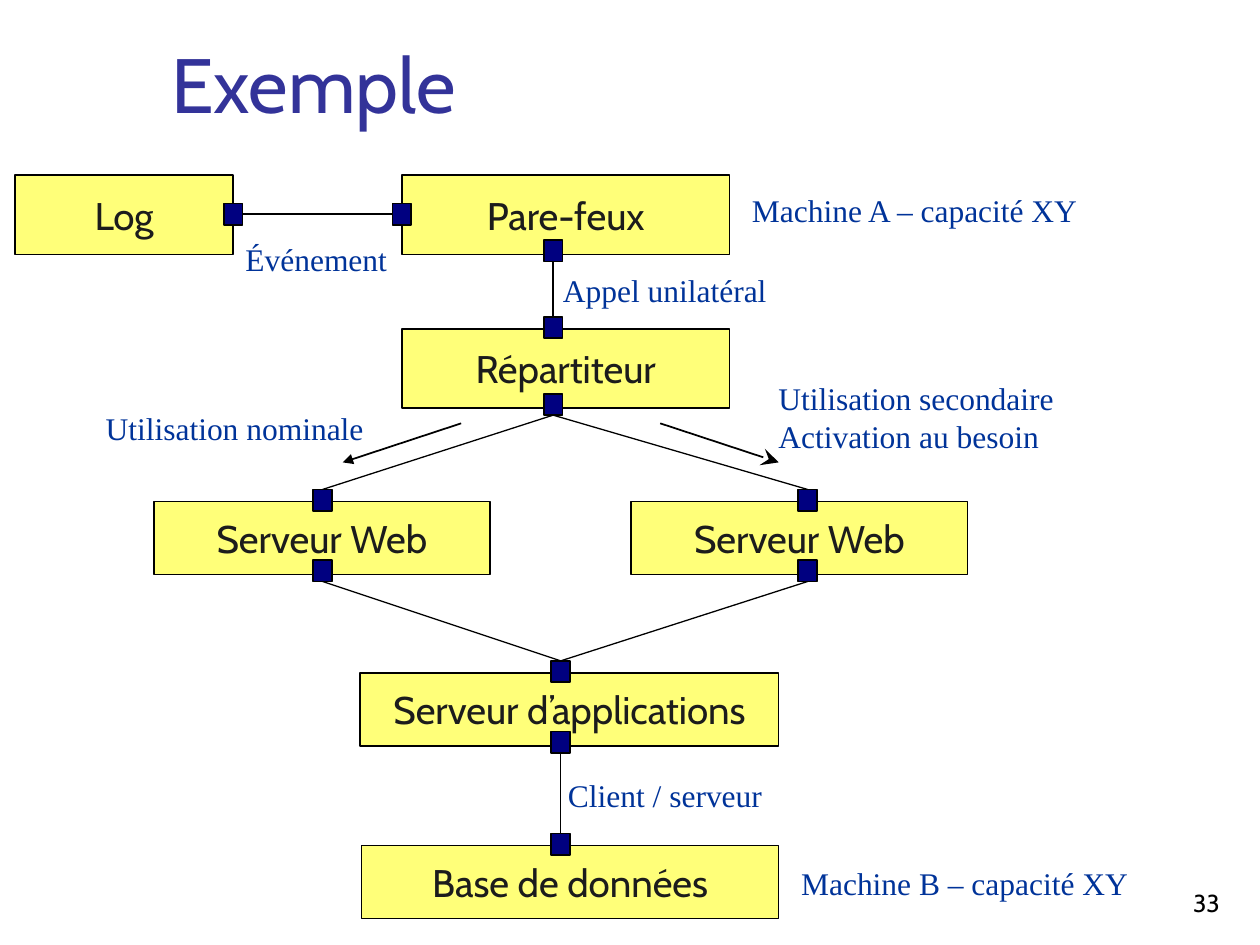
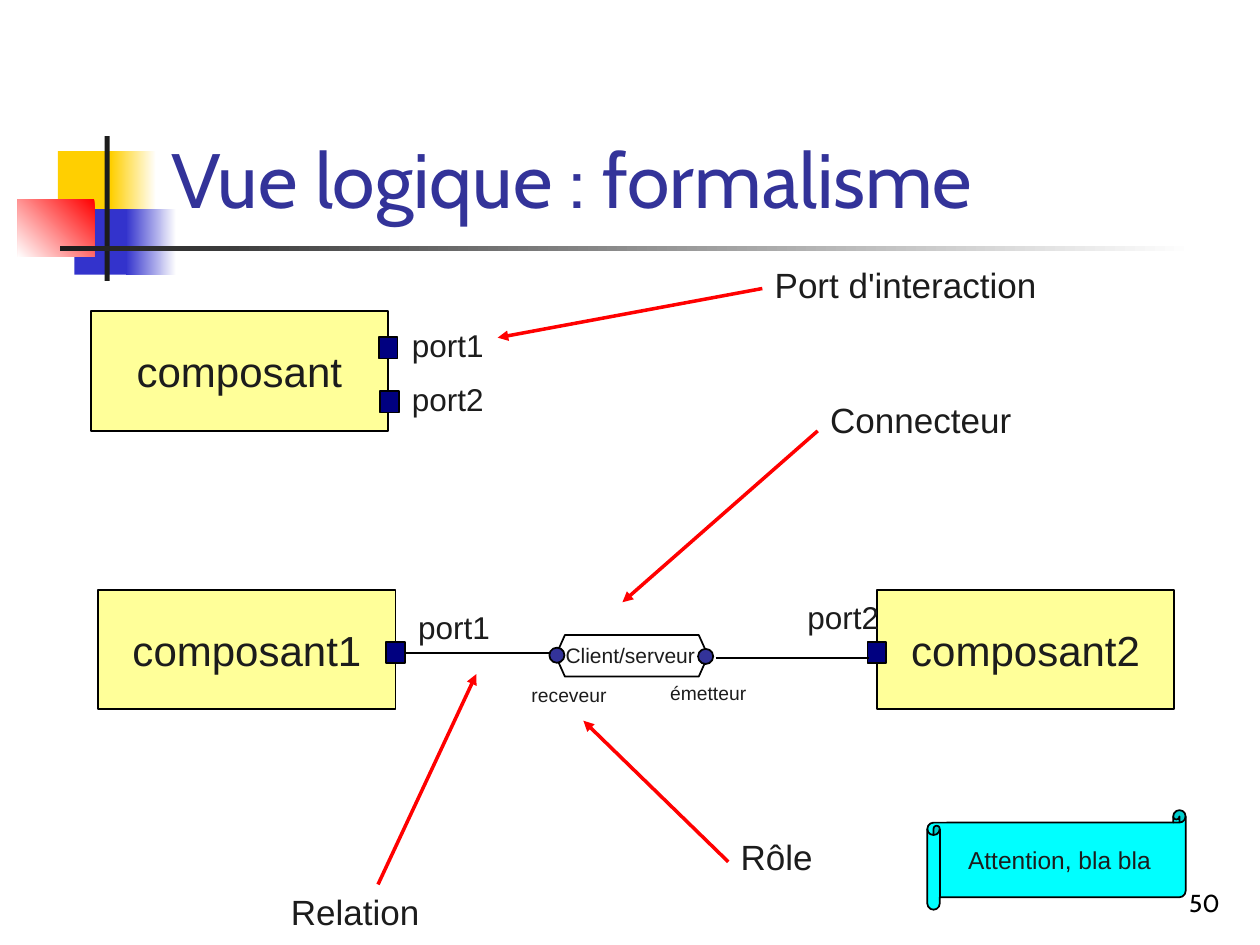
import lxml.etree
import pptx
import pptx.dml.color
import pptx.enum.shapes
import pptx.enum.text
import pptx.oxml.ns
import pptx.util

Inches = pptx.util.Inches
Pt = pptx.util.Pt
RGBColor = pptx.dml.color.RGBColor
MSO_SHAPE = pptx.enum.shapes.MSO_SHAPE
PP_ALIGN = pptx.enum.text.PP_ALIGN
MSO_ANCHOR = pptx.enum.text.MSO_ANCHOR
qn = pptx.oxml.ns.qn

# Colours
BLACK = RGBColor(0x00, 0x00, 0x00)
WHITE = RGBColor(0xFF, 0xFF, 0xFF)
INK = RGBColor(0x1C, 0x1C, 0x1C)
INDIGO = RGBColor(0x33, 0x33, 0x99)
LABEL_BLUE = RGBColor(0x00, 0x33, 0x99)
NAVY = RGBColor(0x00, 0x00, 0x80)
YELLOW = RGBColor(0xFF, 0xFF, 0x79)
PALE_YELLOW = RGBColor(0xFF, 0xFF, 0x99)
CYAN = RGBColor(0x00, 0xFF, 0xFF)
RED = RGBColor(0xFF, 0x00, 0x00)
GOLD = RGBColor(0xFF, 0xCF, 0x01)
BLUE = RGBColor(0x33, 0x33, 0xCC)

# Fonts and connection sites
TITLE_FONT, SERIF, SANS = "Cabin", "Times New Roman", "Arial"
TOP, LEFT, BOTTOM, RIGHT = range(4)
PORT_W, PORT_H = 0.15, 0.17
LABEL_SLACK = 0.06  # spare width that keeps each label line whole


# Shared building blocks
def add_run(p, text, size, font, color):
    r = p.add_run()
    r.text = text
    r.font.size = Pt(size)
    r.font.name = font
    r.font.color.rgb = color


def add_box(slide, kind, box, fill=None, outline=True):
    sp = slide.shapes.add_shape(kind, *map(Inches, box))
    sp.shadow.inherit = False
    if fill is None:
        sp.fill.background()
    else:
        sp.fill.solid()
        sp.fill.fore_color.rgb = fill
    if outline:
        sp.line.color.rgb = BLACK
        sp.line.width = Pt(1)
    else:
        sp.line.fill.background()
    return sp


def add_gradient(slide, box, start, end, angle=180):
    sp = add_box(slide, MSO_SHAPE.RECTANGLE, box, start, outline=False)
    sp.fill.gradient()
    sp.fill.gradient_angle = angle
    for stop, color in zip(sp.fill.gradient_stops, (start, end)):
        stop.color.rgb = color


def add_caption(sp, text, size, font):
    tf = sp.text_frame
    tf.word_wrap = False
    tf.vertical_anchor = MSO_ANCHOR.MIDDLE
    p = tf.paragraphs[0]
    p.alignment = PP_ALIGN.CENTER
    add_run(p, text, size, font, INK)


def add_label(slide, box, lines, size, font, color):
    x, y, w, h = box
    tf = slide.shapes.add_textbox(*map(Inches, (x, y, w + LABEL_SLACK, h))).text_frame
    tf.word_wrap = False
    for i, text in enumerate(lines.split("\n")):
        p = tf.add_paragraph() if i else tf.paragraphs[0]
        p.alignment = PP_ALIGN.LEFT
        add_run(p, text, size, font, color)
    tf.auto_size = pptx.enum.text.MSO_AUTO_SIZE.SHAPE_TO_FIT_TEXT


def add_framed_text(slide, box, text, size, color, align):
    tf = slide.shapes.add_textbox(*map(Inches, box)).text_frame
    tf.word_wrap = True
    tf.vertical_anchor = MSO_ANCHOR.BOTTOM
    p = tf.paragraphs[0]
    p.alignment = align
    add_run(p, text, size, TITLE_FONT, color)


def add_port(slide, cx, cy):
    box = (cx - PORT_W / 2, cy - PORT_H / 2, PORT_W, PORT_H)
    return add_box(slide, MSO_SHAPE.RECTANGLE, box, NAVY)


def add_line(slide, start, end, width, color=BLACK, arrow=None, arrow_size="med"):
    ends = map(Inches, (*start, *end))
    c = slide.shapes.add_connector(pptx.enum.shapes.MSO_CONNECTOR.STRAIGHT, *ends)
    c.line.color.rgb = color
    c.line.width = Pt(width)
    sp_pr = c._element.spPr
    if arrow:
        tail = lxml.etree.SubElement(sp_pr.find(qn("a:ln")), qn("a:tailEnd"))
        tail.set("type", arrow)
        tail.set("w", arrow_size)
        tail.set("len", arrow_size)
    lxml.etree.SubElement(sp_pr, qn("a:effectLst"))
    return c


def join(slide, sp1, site1, sp2, site2, width):
    c = add_line(slide, (0, 0), (1, 1), width)
    c.begin_connect(sp1, site1)
    c.end_connect(sp2, site2)


def new_slide(prs, title, title_height, number):
    slide = prs.slides.add_slide(prs.slide_layouts[6])
    add_framed_text(slide, (1.26, 0.23, 8.52, title_height), title, 44, INDIGO, PP_ALIGN.LEFT)
    add_framed_text(slide, (7.7, 6.83, 2.08, 0.5), number, 14, BLACK, PP_ALIGN.RIGHT)
    return slide


# Slide "Exemple"
def draw_tier(slide, box, text, port_dx, sides):
    """Draws a component and returns its ports by side."""
    x, y, w, h = box
    sp = add_box(slide, MSO_SHAPE.RECTANGLE, box, YELLOW)
    add_caption(sp, text, 22, TITLE_FONT)
    port_y = {TOP: y - 0.01, BOTTOM: y + h - 0.03}
    return {side: add_port(slide, x + port_dx, port_y[side]) for side in sides}


def draw_log_event(slide, left, top):
    box = (left, top, 1.73, 0.63)
    add_caption(add_box(slide, MSO_SHAPE.RECTANGLE, box, YELLOW), "Log", 22, TITLE_FONT)
    log_port, firewall_port = (add_port(slide, left + dx, top + 0.31) for dx in (1.73, 3.07))
    join(slide, firewall_port, LEFT, log_port, RIGHT, 1)


def draw_architecture(slide, left, top):
    tiers = {
        "firewall": ((3.07, 0, 2.6, 0.63), "Pare-feux", 1.2, (BOTTOM,)),
        "balancer": ((3.07, 1.22, 2.6, 0.63), "Répartiteur", 1.2, (TOP, BOTTOM)),
        "web1": ((1.1, 2.59, 2.67, 0.58), "Serveur Web", 1.34, (TOP, BOTTOM)),
        "web2": ((4.89, 2.59, 2.67, 0.58), "Serveur Web", 1.4, (TOP, BOTTOM)),
        "app": ((2.74, 3.95, 3.32, 0.58), "Serveur d’applications", 1.59, (TOP, BOTTOM)),
        "database": ((2.75, 5.32, 3.31, 0.58), "Base de données", 1.58, (TOP,)),
    }
    ports = {}
    for name, ((x, y, w, h), text, port_dx, sides) in tiers.items():
        ports[name] = draw_tier(slide, (left + x, top + y, w, h), text, port_dx, sides)
    for upper, lower in (("firewall", "balancer"), ("balancer", "web1"), ("balancer", "web2"),
                         ("web1", "app"), ("web2", "app"), ("app", "database")):
        join(slide, ports[upper][BOTTOM], BOTTOM, ports[lower][TOP], TOP, 0.75)

    # Direction of use
    for x1, x2, arrow, size in ((3.54, 2.6, "triangle", "med"), (5.12, 6.06, "stealth", "lg")):
        add_line(slide, (left + x1, top + 1.97), (left + x2, top + 2.28), 1,
                 arrow=arrow, arrow_size=size)

    # Annotations
    for x, y, w, h, text in (
        (5.75, 0.08, 2.81, 0.4, "Machine A – capacité XY"),
        (1.73, 0.47, 1.38, 0.4, "Événement"),
        (4.25, 0.71, 1.81, 0.4, "Appel unilatéral"),
        (0.62, 1.81, 2.25, 0.4, "Utilisation nominale"),
        (5.96, 1.57, 2.38, 0.7, "Utilisation secondaire\nActivation au besoin"),
        (4.29, 4.72, 1.74, 0.4, "Client / serveur"),
        (6.14, 5.42, 2.79, 0.4, "Machine B – capacité XY"),
    ):
        add_label(slide, (left + x, top + y, w, h), text, 18, SERIF, LABEL_BLUE)


# Slide "Vue logique"
def draw_title_ornament(slide, left, top):
    def at(x, y, w, h):
        return left + x, top + y, w, h

    rect = MSO_SHAPE.RECTANGLE
    add_box(slide, rect, at(0.32, 0.12, 0.48, 0.52), GOLD, outline=False)
    add_gradient(slide, at(0.74, 0.12, 0.36, 0.52), WHITE, GOLD)
    add_box(slide, rect, at(0.45, 0.58, 0.46, 0.52), BLUE, outline=False)
    add_gradient(slide, at(0.86, 0.58, 0.4, 0.52), WHITE, BLUE)
    add_gradient(slide, at(0, 0.5, 0.61, 0.46), RED, WHITE, angle=225)
    add_box(slide, rect, at(0.69, 0, 0.04, 1.15), INK, outline=False)
    add_gradient(slide, at(0.34, 0.87, 9, 0.04), WHITE, INK)


def draw_component(slide, left, top, text):
    sp = add_box(slide, MSO_SHAPE.RECTANGLE, (left, top, 2.36, 0.95), PALE_YELLOW)
    add_caption(sp, text, 24, SANS)


def draw_port_label(slide, left, top, text):
    add_label(slide, (left, top, 0.77, 0.4), text, 18, SANS, INK)


def draw_single_component(slide, left, top):
    draw_component(slide, left, top, "composant")
    for i, text in enumerate(("port1", "port2")):
        add_port(slide, left + 2.36 + 0.01 * i, top + 0.29 + 0.43 * i)
        draw_port_label(slide, left + 2.45, top + 0.07 + 0.43 * i, text)


def draw_relation(slide, left, top):
    draw_component(slide, left, top, "composant1")
    draw_component(slide, left + 6.18, top, "composant2")
    port1, port2 = (add_port(slide, left + dx, top + 0.5) for dx in (2.36, 6.18))
    draw_port_label(slide, left + 2.44, top + 0.1, "port1")
    draw_port_label(slide, left + 5.53, top + 0.02, "port2")

    # Connector body and its two roles
    hexagon = add_box(slide, MSO_SHAPE.HEXAGON, (left + 3.63, top + 0.36, 1.21, 0.33))
    hexagon.adjustments[0] = 0.224
    hexagon.adjustments[1] = 1.155
    add_label(slide, (left + 3.61, top + 0.37, 1.23, 0.3), "Client/serveur", 12, SANS, INK)
    for dx, dy in ((3.58, 0.46), (4.76, 0.47)):
        add_box(slide, MSO_SHAPE.FLOWCHART_CONNECTOR,
                (left + dx, top + dy, 0.12, 0.12), INDIGO)
    for dx, dy, text in ((4.44, 0.68, "émetteur"), (3.34, 0.69, "receveur")):
        add_label(slide, (left + dx, top + dy, 0.8, 0.29), text, 11, SANS, INK)

    # Links from the ports to the roles
    link = add_line(slide, (left + 2.36, top + 0.5), (left + 3.58, top + 0.5), 1)
    link.begin_connect(port1, RIGHT)
    add_line(slide, (left + 4.9, top + 0.54), (left + 6.12, top + 0.54), 1)


def draw_callout(slide, box, text, tail, target):
    """Draws a term and a red arrow; tail is an offset from the box's corner."""
    start = (box[0] + tail[0], box[1] + tail[1])
    add_line(slide, start, target, 2, RED, "triangle")
    add_label(slide, box, text, 20, SANS, INK)


def draw_scroll_note(slide, box, text):
    sp = add_box(slide, MSO_SHAPE.HORIZONTAL_SCROLL, box, CYAN)
    sp.adjustments[0] = 0.125
    add_caption(sp, text, 14, SANS)


def build_example(prs):
    slide = new_slide(prs, "Exemple", 0.84, "33")
    draw_architecture(slide, 0.12, 1.39)
    draw_log_event(slide, 0.12, 1.39)


def build_logical_view(prs):
    slide = new_slide(prs, "Vue logique : formalisme", 1.6, "50")
    title = slide.shapes[0]
    draw_title_ornament(slide, 0.14, 1.08)
    slide.shapes._spTree.append(title._element)  # the title stays above the ornament
    draw_single_component(slide, 0.72, 2.47)
    draw_relation(slide, 0.78, 4.68)
    for box, text, tail, target in (
        ((6.05, 2.04, 2.28, 0.44), "Port d'interaction", (0, 0.25), (3.95, 2.68)),
        ((6.49, 3.11, 1.64, 0.44), "Connecteur", (0, 0.31), (4.94, 4.78)),
        ((5.78, 6.58, 0.85, 0.44), "Rôle", (0, 0.26), (4.63, 5.72)),
        ((2.21, 7.02, 1.3, 0.44), "Relation", (0.79, 0), (3.78, 5.35)),
    ):
        draw_callout(slide, box, text, tail, target)
    draw_scroll_note(slide, (7.36, 6.43, 2.05, 0.79), "Attention, bla bla")


def main():
    prs = pptx.Presentation()
    prs.slide_width = Inches(10)
    prs.slide_height = Inches(7.5)
    build_example(prs)
    build_logical_view(prs)
    prs.save("out.pptx")


if __name__ == "__main__":
    main()
